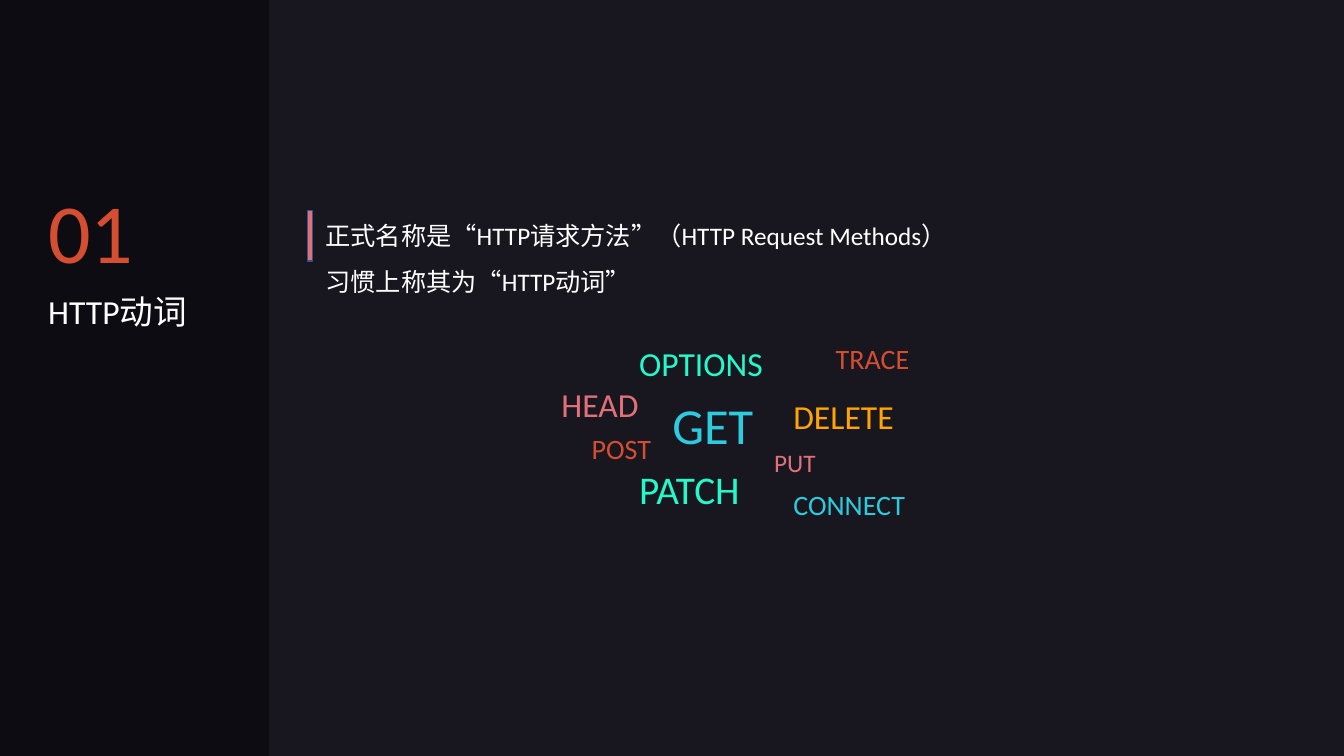
"""Build the HTTP verbs section slide."""
from pptx import Presentation
from pptx.dml.color import RGBColor
from pptx.enum.shapes import MSO_SHAPE
from pptx.enum.text import MSO_AUTO_SIZE
from pptx.util import Inches, Pt

RECTANGLE = MSO_SHAPE.RECTANGLE
GROW = MSO_AUTO_SIZE.SHAPE_TO_FIT_TEXT

COLORS = {
    "background": "181720",
    "sidebar": "0E0C13",
    "white": "FFFFFF",
    "red": "D64E31",
    "pink": "E17079",
    "blue": "2CCBDE",
    "mint": "24F9CB",
    "amber": "FFA400",
    "outline": "325491",
}

VERBS = [
    ("GET", 6.57, 3.86, 1.01, 0.71, 36, "blue"),
    ("POST", 5.77, 4.23, 0.8, 0.44, 20, "red"),
    ("PATCH", 6.24, 4.57, 1.21, 0.57, 28, "mint"),
    ("PUT", 7.58, 4.39, 0.62, 0.4, 18, "pink"),
    ("DELETE", 7.77, 3.88, 1.21, 0.5, 24, "amber"),
    ("OPTIONS", 6.24, 3.35, 1.44, 0.5, 24, "mint"),
    ("HEAD", 5.47, 3.76, 0.97, 0.5, 24, "pink"),
    ("CONNECT", 7.77, 4.79, 1.32, 0.44, 20, "blue"),
    ("TRACE", 8.19, 3.34, 0.94, 0.44, 20, "red"),
]


class SlideBuilder:
    def __init__(self, slide, font="Calibri"):
        self.slide = slide
        self.font = font

    def color(self, name):
        return RGBColor.from_string(COLORS[name])

    def background(self, name):
        fill = self.slide.background.fill
        fill.solid()
        fill.fore_color.rgb = self.color(name)

    def bar(self, left, top, width, height, fill, outline=None, rotation=0):
        bar = self.slide.shapes.add_shape(
            RECTANGLE, Inches(left), Inches(top), Inches(width), Inches(height))
        bar.shadow.inherit = False
        bar.rotation = rotation
        bar.fill.solid()
        bar.fill.fore_color.rgb = self.color(fill)
        if outline:
            bar.line.color.rgb = self.color(outline)
            bar.line.width = Pt(1)
        else:
            bar.line.fill.background()

    def text(self, words, left, top, width, height, size, color, wrap=False):
        box = self.slide.shapes.add_textbox(
            Inches(left), Inches(top), Inches(width), Inches(height))
        frame = box.text_frame
        frame.word_wrap = wrap
        frame.auto_size = GROW
        run = frame.paragraphs[0].add_run()
        run.text = words
        run.font.name = self.font
        run.font.size = Pt(size)
        run.font.color.rgb = self.color(color)


def main():
    deck = Presentation()
    deck.slide_width = Inches(13.33)
    deck.slide_height = Inches(7.5)
    page = SlideBuilder(deck.slides.add_slide(deck.slide_layouts[6]))

    page.background("background")
    page.bar(0, 0, 2.67, 7.5, "sidebar")
    page.text("01", 0.38, 1.73, 1.05, 1.11, 60, "red")
    page.text("HTTP动词", 0.38, 2.84, 1.59, 0.5, 24, "white", wrap=True)

    page.bar(3.05, 2.09, 0.05, 0.5, "pink", outline="outline", rotation=180)
    definitions = ["正式名称是“HTTP请求方法”（HTTP Request Methods）", "习惯上称其为“HTTP动词”"]
    for row, definition in enumerate(definitions):
        page.text(definition, 3.13, 2.14 + 0.45 * row, 6.8, 0.4, 18, "white", wrap=True)

    for verb in VERBS:
        page.text(*verb)

    deck.save("out.pptx")


if __name__ == "__main__":
    main()
